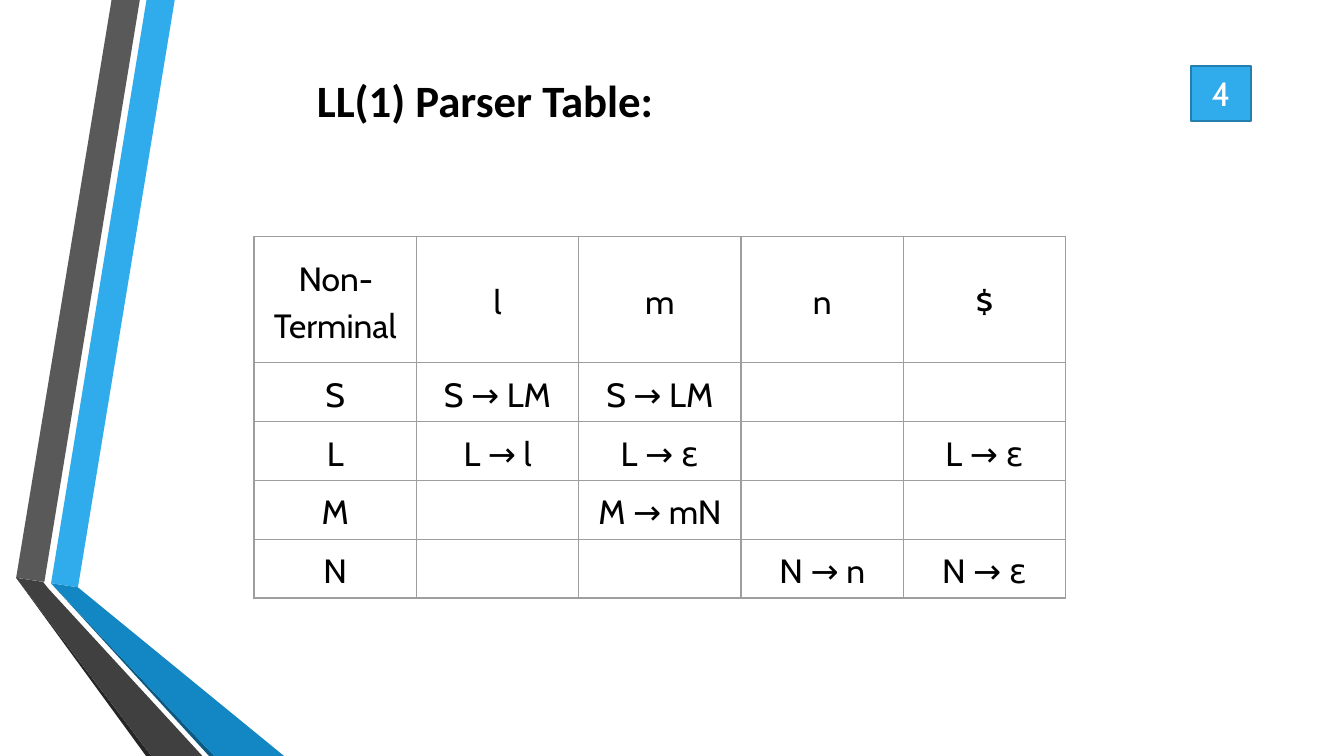
from dataclasses import dataclass

from lxml import etree
from pptx import Presentation
from pptx.dml.color import RGBColor
from pptx.enum import shapes, text
from pptx.oxml import ns
from pptx.util import Inches, Pt


@dataclass(frozen=True)
class Theme:
    black: str = "000000"
    white: str = "FFFFFF"
    blue: str = "30ACEC"
    blue_edge: str = "247FAF"
    blue_mid: str = "1287C3"
    blue_dark: str = "0C5A82"
    grey: str = "595959"
    grey_mid: str = "404040"
    grey_dark: str = "262626"
    grid: str = "9E9E9E"
    heading_font: str = "Calibri"
    body_font: str = "Cabin"
    heading_size: int = 24
    body_size: int = 18


@dataclass(frozen=True)
class Box:
    left: float
    top: float
    width: float
    height: float

    def lengths(self):
        return [Inches(v) for v in (self.left, self.top, self.width, self.height)]


THEME = Theme()

# Each ribbon piece: colour and corner points, in inches from the ribbon's box
RIBBON_PIECES = [
    (THEME.blue, [(0.26, 4.34), (0.46, 4.37), (1.18, 0), (0.97, 0)]),
    (THEME.grey, [(0.92, 0), (0.71, 0), (0, 4.3), (0.21, 4.33)]),
    (THEME.grey_dark, [(0, 4.3), (0.97, 5.63), (1.01, 5.63)]),
    (THEME.blue_dark, [(0.26, 4.34), (1.44, 5.63), (1.48, 5.63)]),
    (THEME.blue_mid, [(0.26, 4.34), (1.48, 5.63), (2, 5.63), (0.46, 4.37)]),
    (THEME.grey_mid, [(1.39, 5.63), (0.24, 4.38), (0.2, 4.33), (0, 4.3), (1.01, 5.63)]),
]

PARSER_ROWS = [
    ["Non-Terminal", "l", "m", "n", "$"],
    ["S", "S → LM", "S → LM", "", ""],
    ["L", "L → l", "L → ε", "", "L → ε"],
    ["M", "", "M → mN", "", ""],
    ["N", "", "", "N → n", "N → ε"],
]


def rgb(colour):
    return RGBColor.from_string(colour)


def style_font(para, name, size, colour, bold=False):
    font = para.font
    font.name, font.size, font.bold = name, Pt(size), bold
    font.color.rgb = rgb(colour)


def add_ribbon(page, box):
    for colour, points in RIBBON_PIECES:
        corners = [(Inches(box.left + x), Inches(box.top + y)) for x, y in points]
        builder = page.shapes.build_freeform(*corners[0])
        builder.add_line_segments(corners[1:], close=True)
        piece = builder.convert_to_shape()
        piece.shadow.inherit = False
        piece.fill.solid()
        piece.fill.fore_color.rgb = rgb(colour)
        piece.line.fill.background()


def add_title(page, box, title):
    frame = page.shapes.add_textbox(*box.lengths()).text_frame
    frame.word_wrap = False
    frame.vertical_anchor = text.MSO_ANCHOR.TOP
    para = frame.paragraphs[0]
    para.text = title
    style_font(para, THEME.heading_font, THEME.heading_size, THEME.black, bold=True)


def add_page_number(page, box, number):
    badge = page.shapes.add_shape(shapes.MSO_SHAPE.RECTANGLE, *box.lengths())
    badge.shadow.inherit = False
    badge.fill.solid()
    badge.fill.fore_color.rgb = rgb(THEME.blue)
    badge.line.color.rgb = rgb(THEME.blue_edge)
    badge.line.width = Pt(1.25)
    badge.text_frame.vertical_anchor = text.MSO_ANCHOR.MIDDLE
    para = badge.text_frame.paragraphs[0]
    para.text = str(number)
    para.alignment = text.PP_ALIGN.CENTER
    style_font(para, THEME.body_font, THEME.body_size, THEME.white)


def add_cell_borders(cell):
    props = cell._tc.get_or_add_tcPr()
    for index, side in enumerate(("a:lnL", "a:lnR", "a:lnT", "a:lnB")):
        line = etree.Element(ns.qn(side), w=str(Pt(0.75)))
        fill = etree.SubElement(line, ns.qn("a:solidFill"))
        etree.SubElement(fill, ns.qn("a:srgbClr"), val=THEME.grid)
        props.insert(index, line)


def add_parser_table(page, box, rows, header_height):
    frame = page.shapes.add_table(len(rows), len(rows[0]), *box.lengths())
    table = frame.table
    table.first_row = table.horz_banding = False
    for column in table.columns:
        column.width = Inches(box.width / len(rows[0]))
    row_height = (box.height - header_height) / (len(rows) - 1)
    for index, row in enumerate(table.rows):
        row.height = Inches(row_height if index else header_height)
    for cell, words in zip(table.iter_cells(), sum(rows, [])):
        cell.fill.background()
        add_cell_borders(cell)
        cell.margin_left = cell.margin_right = Inches(0.01)
        cell.margin_top = cell.margin_bottom = Inches(0.01)
        cell.vertical_anchor = text.MSO_ANCHOR.MIDDLE
        para = cell.text_frame.paragraphs[0]
        para.text = words
        para.alignment = text.PP_ALIGN.CENTER
        para.line_spacing = 1.15
        style_font(para, THEME.body_font, THEME.body_size, THEME.black)


def add_parser_page(deck):
    page = deck.slides.add_slide(deck.slide_layouts[6])
    add_ribbon(page, Box(0.12, 0, 2, 5.63))
    add_parser_table(page, Box(1.89, 1.76, 6.04, 2.69), PARSER_ROWS, header_height=0.94)
    add_title(page, Box(2.26, 0.49, 2.76, 0.91), "LL(1) Parser Table:")
    add_page_number(page, Box(8.86, 0.49, 0.45, 0.41), 4)


def main():
    deck = Presentation()
    deck.slide_width = Inches(10)
    deck.slide_height = deck.slide_width * 9 // 16
    add_parser_page(deck)
    deck.save("out.pptx")


if __name__ == "__main__":
    main()
